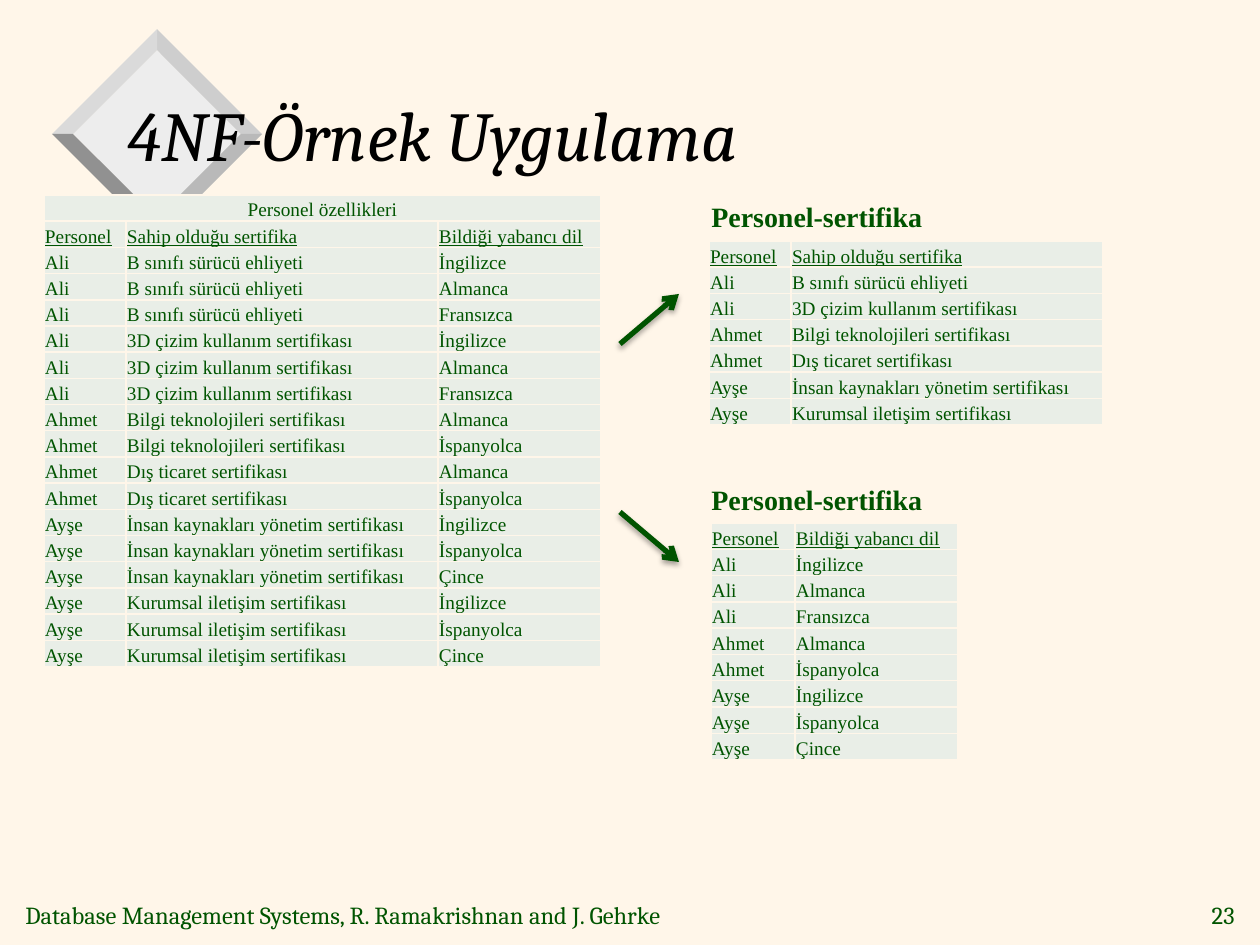
"""Build the 4NF example slide: one staff table split into two."""
from dataclasses import dataclass
from itertools import product

from lxml import etree
from pptx import Presentation
from pptx import util as u
from pptx.dml.color import RGBColor
from pptx.enum import shapes, text
from pptx.oxml import ns, parse_xml

SCALE = 914400 / 126
COLORS = {
    "page": "FFF6E9", "cell": "E9EEE7", "green": "005400", "black": "000000",
    "face": "EDEDED", "ne": "CECECE", "nw": "DADADA", "se": "B9B9B9", "sw": "919191",
}
SERIF, ROMAN = "Cambria", "Times New Roman"
LEFT, CENTER, RIGHT = text.PP_ALIGN.LEFT, text.PP_ALIGN.CENTER, text.PP_ALIGN.RIGHT
TOP, MIDDLE = text.MSO_ANCHOR.TOP, text.MSO_ANCHOR.MIDDLE

STAFF = {
    "Ali": (["B sınıfı sürücü ehliyeti", "3D çizim kullanım sertifikası"],
            ["İngilizce", "Almanca", "Fransızca"]),
    "Ahmet": (["Bilgi teknolojileri sertifikası", "Dış ticaret sertifikası"],
              ["Almanca", "İspanyolca"]),
    "Ayşe": (["İnsan kaynakları yönetim sertifikası", "Kurumsal iletişim sertifikası"],
             ["İngilizce", "İspanyolca", "Çince"]),
}
NAME, CERT, LANG = "Personel", "Sahip olduğu sertifika", "Bildiği yabancı dil"


@dataclass
class Label:
    words: str
    box: tuple[int, int, int, int]
    size: int
    face: str = SERIF
    color: str = "green"
    bold: bool = False
    slant: bool = False
    align: text.PP_ALIGN = LEFT
    anchor: text.MSO_ANCHOR = MIDDLE
    wrap: bool = False


@dataclass
class Grid:
    left: int
    top: int
    high: int
    cols: list[int]
    head: list[str]
    rows: list[tuple]
    title: str = ""


@dataclass
class Facet:
    color: str
    points: list[tuple[int, int]]


@dataclass
class Arrow:
    start: tuple[int, int]
    end: tuple[int, int]


def px(size: int) -> int:
    return round(size * SCALE)


def rgb(name: str) -> RGBColor:
    return RGBColor.from_string(COLORS[name])


def style(font, size: int, face: str, color: str) -> None:
    font.size, font.name = u.Pt(size), face
    font.color.rgb = rgb(color)


def draw_label(slide, label: Label) -> None:
    frame = slide.shapes.add_textbox(*map(px, label.box)).text_frame
    frame.word_wrap, frame.vertical_anchor = label.wrap, label.anchor
    para = frame.paragraphs[0]
    para.text, para.alignment = label.words, label.align
    style(para.font, label.size, label.face, label.color)
    para.font.bold, para.font.italic = label.bold, label.slant


def draw_facet(slide, facet: Facet) -> None:
    first, *rest = facet.points
    form = slide.shapes.build_freeform(*first, scale=SCALE)
    shape = form.add_line_segments(rest).convert_to_shape()
    shape.shadow.inherit = False
    shape.fill.solid()
    shape.fill.fore_color.rgb = rgb(facet.color)
    shape.line.fill.background()


def draw_arrow(slide, arrow: Arrow) -> None:
    line = slide.shapes.add_connector(
        shapes.MSO_CONNECTOR.STRAIGHT, *map(px, arrow.start + arrow.end))
    line.line.width = u.Pt(3)
    line.line.color.rgb = rgb("green")
    props = line._element.spPr
    etree.SubElement(props.find(ns.qn("a:ln")), ns.qn("a:tailEnd"), type="arrow")
    props.append(parse_xml(
        f'<a:effectLst {ns.nsdecls("a")}><a:outerShdw blurRad="{u.Pt(3.1)}" '
        f'dist="{u.Pt(1.8)}" dir="5400000" rotWithShape="0"><a:srgbClr '
        f'val="{COLORS["black"]}"><a:alpha val="35000"/></a:srgbClr>'
        '</a:outerShdw></a:effectLst>'))


def fill_cell(cell, words: str, under: bool, align: text.PP_ALIGN) -> None:
    cell.margin_left = cell.margin_right = cell.margin_top = px(1)
    cell.margin_bottom = 0
    cell.vertical_anchor = text.MSO_ANCHOR.BOTTOM
    for side in ("lnL", "lnR", "lnT", "lnB"):
        cell._tc.get_or_add_tcPr().append(parse_xml(
            f'<a:{side} {ns.nsdecls("a")} w="{u.Pt(1)}"><a:solidFill><a:srgbClr '
            f'val="{COLORS["page"]}"/></a:solidFill></a:{side}>'))
    cell.fill.solid()
    cell.fill.fore_color.rgb = rgb("cell")
    para = cell.text_frame.paragraphs[0]
    para.text, para.alignment = words, align
    style(para.font, 11, ROMAN, "green")
    para.font.underline = under


def draw_grid(slide, grid: Grid) -> None:
    blank = [""] * (len(grid.cols) - 1)
    lines = [[grid.title, *blank]] if grid.title else []
    lines += [grid.head, *grid.rows]
    table = slide.shapes.add_table(
        len(lines), len(grid.cols),
        *map(px, (grid.left, grid.top, sum(grid.cols), grid.high))).table
    table.first_row = table.horz_banding = False
    for col, wide in zip(table.columns, grid.cols):
        col.width = px(wide)
    for row, line in zip(table.rows, lines):
        row.height = px(grid.high) // len(lines)
        top = bool(grid.title) and line is lines[0]
        for cell, words in zip(row.cells, line):
            fill_cell(cell, words, line is grid.head, CENTER if top else LEFT)
    if grid.title:
        table.cell(0, 0).merge(table.cell(0, len(grid.cols) - 1))


def gem(x: int, y: int, out: int, inn: int) -> list[Facet]:
    facets = [Facet("face", [(x, y - inn), (x - inn, y), (x, y + inn), (x + inn, y)])]
    for name, dx, dy in (("ne", 1, -1), ("nw", -1, -1), ("se", 1, 1), ("sw", -1, 1)):
        facets.append(Facet(name, [(x, y + dy * inn), (x, y + dy * out),
                                   (x + dx * out, y), (x + dx * inn, y)]))
    return facets


def main() -> None:
    deck = Presentation()
    deck.slide_width, deck.slide_height = px(1260), px(945)
    slide = deck.slides.add_slide(deck.slide_layouts[6])
    slide.background.fill.solid()
    slide.background.fill.fore_color.rgb = rgb("page")

    for facet in gem(157, 134, 105, 84):
        draw_facet(slide, facet)
    for label in (
        Label("Database Management Systems, R. Ramakrishnan and J. Gehrke",
              (13, 894, 721, 42), 14),
        Label("23", (1192, 894, 55, 42), 14, align=RIGHT),
        Label("4NF-Örnek Uygulama", (115, 58, 1071, 152), 40,
              color="black", slant=True, wrap=True),
    ):
        draw_label(slide, label)

    whole = [(who, *pair) for who, sets in STAFF.items() for pair in product(*sets)]
    certs = [(who, cert) for who, sets in STAFF.items() for cert in sets[0]]
    langs = [(who, lang) for who, sets in STAFF.items() for lang in sets[1]]
    draw_grid(slide, Grid(44, 195, 472, [82, 312, 163], [NAME, CERT, LANG], whole,
                          "Personel özellikleri"))
    for arrow in (Arrow((620, 344), (679, 294)), Arrow((620, 512), (679, 562))):
        draw_arrow(slide, arrow)
    draw_grid(slide, Grid(709, 241, 184, [82, 312], [NAME, CERT], certs))
    for top in (193, 476):
        draw_label(slide, Label("Personel-sertifika", (699, top, 239, 47), 16,
                                ROMAN, bold=True, anchor=TOP))
    draw_grid(slide, Grid(711, 523, 237, [84, 163], [NAME, LANG], langs))
    deck.save("out.pptx")


if __name__ == "__main__":
    main()
